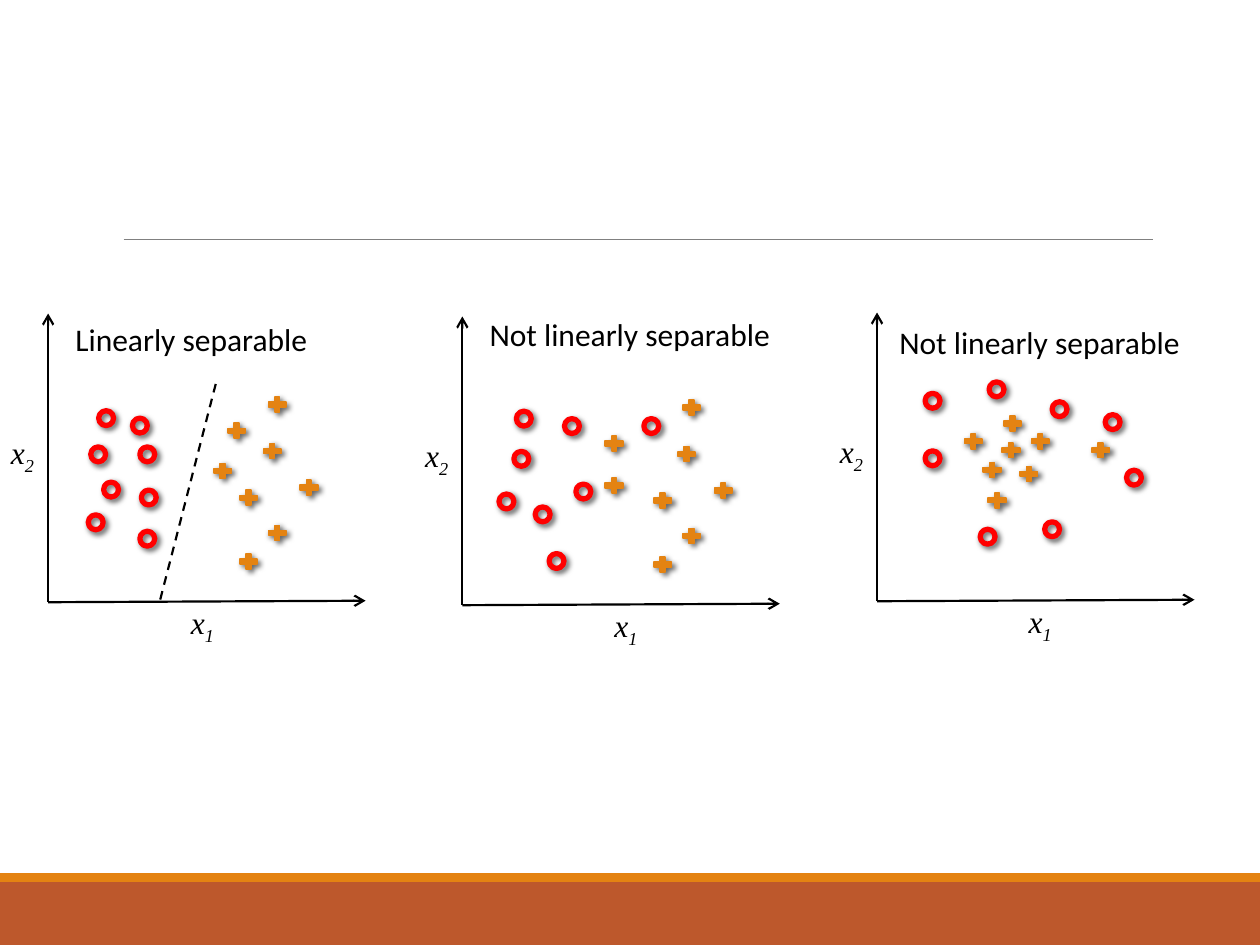
from dataclasses import dataclass

from lxml.etree import SubElement
from pptx import Presentation
from pptx.dml.color import RGBColor
from pptx.enum.dml import MSO_LINE
from pptx.enum.shapes import MSO_CONNECTOR, MSO_SHAPE
from pptx.enum.text import MSO_AUTO_SIZE, PP_ALIGN
from pptx.oxml.ns import qn
from pptx.util import Cm, Pt


@dataclass(frozen=True)
class Theme:
    """Colours, fonts and type size of the slide."""
    ink: RGBColor = RGBColor(0, 0, 0)
    rule: RGBColor = RGBColor(0x80, 0x80, 0x80)
    orange: RGBColor = RGBColor(0xE4, 0x83, 0x12)
    rust: RGBColor = RGBColor(0xBD, 0x58, 0x2C)
    red: RGBColor = RGBColor(0xFF, 0, 0)
    caption_font: str = "Calibri"
    axis_font: str = "Times New Roman"
    size: Pt = Pt(18)


@dataclass(frozen=True)
class Panel:
    """Content of one scatter panel; all offsets are in cm from its box corner."""
    box: tuple
    caption: str
    caption_box: tuple
    x_label_box: tuple
    rings: tuple
    pluses: tuple
    separator: tuple = ()


THEME = Theme()
RING = 0.3
PLUS = (0.48, 0.41)
TEXT_HEIGHT = 1.02
AXIS_RISE = 0.03
Y_LABEL_BOX = (-1, 2.28, 1.93)
RIGHT_CLUSTER = ((3.8, 4.8), (5.02, 3.3), (3.8, 3.51), (4.28, 2.57), (4.38, 4.22), (4.38, 1.63))

PANELS = (
    Panel(
        (0.97, 6.32, 6.4, 5.82), "Linearly separable", (0.3, 0, 5.97), (-0.18, 5.72, 6.58),
        ((1.02, 1.96), (1.7, 2.11), (0.86, 2.69), (1.85, 2.69),
         (1.12, 3.4), (1.88, 3.56), (0.81, 4.06), (1.85, 4.39)),
        RIGHT_CLUSTER + ((3.56, 2.16), (3.28, 2.97)),
        ((3.38, 1.42), (2.26, 5.77)),
    ),
    Panel(
        (9.32, 6.38, 6.4, 5.82), "Not linearly separable", (0.3, -0.15, 7.04), (0.38, 5.72, 5.84),
        ((3.66, 2.06), (1.09, 1.91), (2.06, 2.06), (1.04, 2.72),
         (1.47, 3.84), (2.29, 3.38), (0.74, 3.58), (1.75, 4.78)),
        RIGHT_CLUSTER + ((2.82, 2.36), (2.82, 3.2)),
    ),
    Panel(
        (17.68, 6.3, 6.4, 5.82), "Not linearly separable", (0.2, 0.08, 7.04), (0.46, 5.72, 5.66),
        ((0.97, 1.63), (0.97, 2.79), (2.26, 1.4), (3.53, 1.8),
         (4.6, 2.06), (5.03, 3.18), (3.38, 4.22), (2.08, 4.37)),
        ((2.08, 2.97), (2.49, 2.03), (4.27, 2.57), (3.05, 2.39),
         (2.82, 3.05), (1.7, 2.39), (2.46, 2.57), (2.18, 3.58)),
    ),
)


def set_attributes(target, values):
    """Set every named value on the target."""
    for name, value in values.items():
        setattr(target, name, value)


def add_line(slide, start, end, color, width, dash=None, arrow=False):
    """Draw a straight line without a shadow."""
    line = slide.shapes.add_connector(MSO_CONNECTOR.STRAIGHT, *map(Cm, start + end))
    line.line.color.rgb = color
    set_attributes(line.line, {"width": Pt(width), "dash_style": dash})
    properties = line.line._get_or_add_ln()
    if arrow:
        SubElement(properties, qn("a:tailEnd"), type="arrow")
    SubElement(properties.getparent(), qn("a:effectLst"))


def add_bar(slide, box, color):
    """Draw a flat filled rectangle."""
    bar = slide.shapes.add_shape(MSO_SHAPE.RECTANGLE, *map(Cm, box))
    bar.shadow.inherit = False
    bar.fill.solid()
    bar.fill.fore_color.rgb = color
    bar.line.fill.background()


def add_mark(slide, kind, box, color, width, filled):
    """Draw one data mark with a soft shadow."""
    mark = slide.shapes.add_shape(kind, *map(Cm, box))
    if filled:
        mark.fill.solid()
        mark.fill.fore_color.rgb = color
        mark.adjustments[0] = 0.233
    else:
        mark.fill.background()
    mark.line.color.rgb = color
    mark.line.width = Pt(width)
    mark.shadow.inherit = False
    effects = mark.fill._xPr.find(qn("a:effectLst"))
    shadow = SubElement(effects, qn("a:outerShdw"), blurRad=str(Pt(3)), dist=str(Pt(2)),
                        dir="2700000", algn="tl", rotWithShape="0")
    shade = SubElement(shadow, qn("a:srgbClr"), val=str(THEME.ink))
    SubElement(shade, qn("a:alpha"), val="60000")


def add_text(slide, left, top, width, text, font, subscript="", align=PP_ALIGN.LEFT):
    """Write one line of text with an optional subscript."""
    label = slide.shapes.add_textbox(*map(Cm, (left, top, width, TEXT_HEIGHT)))
    set_attributes(label.text_frame, {"word_wrap": True,
                                      "auto_size": MSO_AUTO_SIZE.SHAPE_TO_FIT_TEXT})
    paragraph = label.text_frame.paragraphs[0]
    paragraph.alignment = align
    for part in filter(None, (text, subscript)):
        run = paragraph.add_run()
        run.text = part
        set_attributes(run.font, font)
        run.font.color.rgb = THEME.ink
    if subscript:
        run.font._element.set("baseline", "-25000")


def add_panel(slide, panel):
    """Place the axes, labels and marks of one scatter panel in its box."""
    left, top, width, height = panel.box

    def at(offset):
        """Turn an offset in the panel into a place on the slide."""
        return left + offset[0], top + offset[1]

    for tip in ((0, 0), (width, height - AXIS_RISE)):
        add_line(slide, at((0, height)), at(tip), THEME.ink, 1.25, arrow=True)
    axis_font = {"name": THEME.axis_font, "size": THEME.size, "italic": True}
    for box, index, align in ((panel.x_label_box, "1", PP_ALIGN.CENTER),
                              (Y_LABEL_BOX, "2", PP_ALIGN.LEFT)):
        add_text(slide, *at(box), box[2], "x", axis_font, index, align)
    add_text(slide, *at(panel.caption_box), panel.caption_box[2], panel.caption,
             {"name": THEME.caption_font, "size": THEME.size})
    if panel.separator:
        add_line(slide, *map(at, panel.separator), THEME.ink, 1.25, MSO_LINE.DASH)
    for plus in panel.pluses:
        add_mark(slide, MSO_SHAPE.MATH_PLUS, at(plus) + PLUS, THEME.orange, 1, True)
    for ring in panel.rings:
        add_mark(slide, MSO_SHAPE.OVAL, at(ring) + (RING, RING), THEME.red, 3, False)


def add_frame(slide, width, height):
    """Draw the heading rule and the two footer bars across the slide."""
    footer_top = height - 1.27
    add_bar(slide, (0, footer_top, width, 1.27), THEME.rust)
    add_bar(slide, (0, footer_top - 0.18, width, 0.18), THEME.orange)
    add_line(slide, (2.49, 4.83), (23.24, 4.83), THEME.rule, 0.5)


def main():
    """Build the slide and save it."""
    width, height = 25.4, 19.05
    deck = Presentation()
    set_attributes(deck, {"slide_width": Cm(width), "slide_height": Cm(height)})
    slide = deck.slides.add_slide(deck.slide_layouts[6])
    add_frame(slide, width, height)
    for panel in PANELS:
        add_panel(slide, panel)
    deck.save("out.pptx")


if __name__ == "__main__":
    main()
